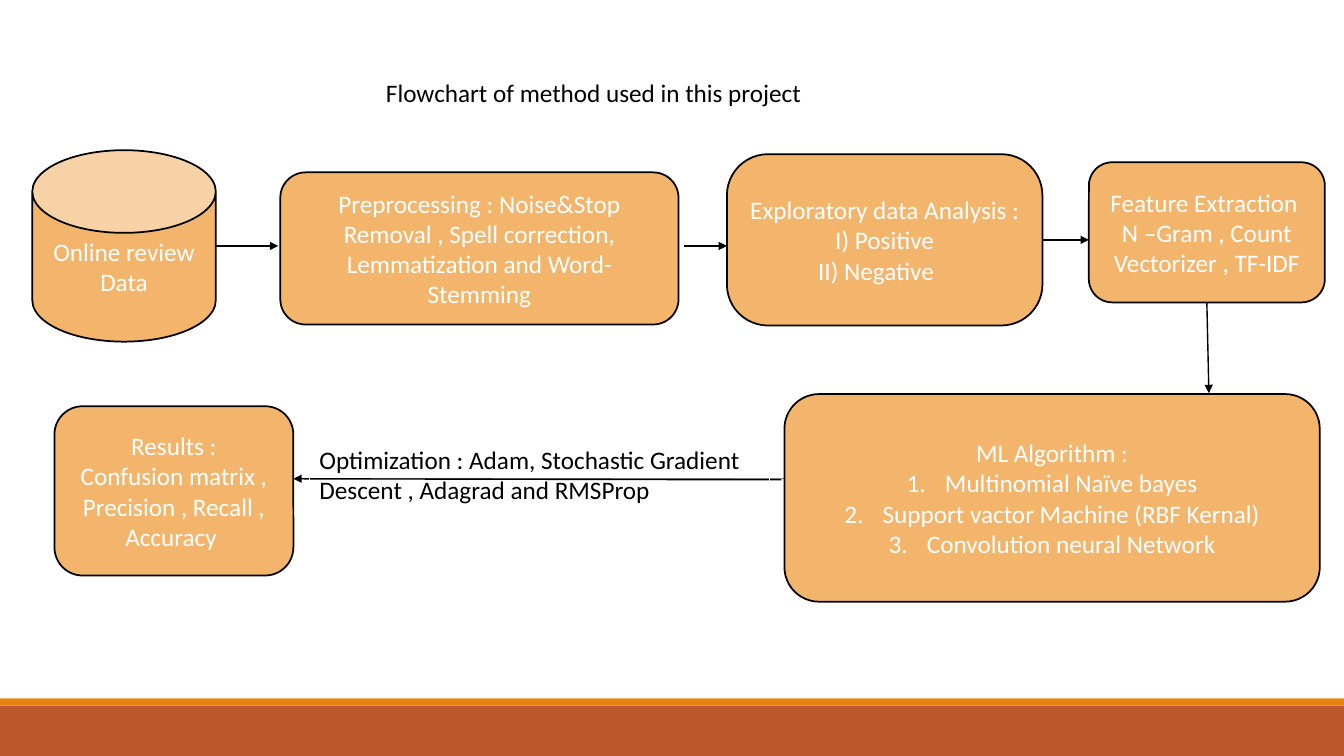
import pptx
import pptx.dml.color
import pptx.enum.shapes
import pptx.enum.text
import pptx.oxml.ns
import pptx.util
from lxml import etree
from pptx.util import Inches

SHAPES = pptx.enum.shapes.MSO_SHAPE
ALIGN = pptx.enum.text.PP_ALIGN
ANCHOR = pptx.enum.text.MSO_ANCHOR


def color(hex_string):
    return pptx.dml.color.RGBColor.from_string(hex_string)


def add_xml(parent, tag, **attributes):
    return etree.SubElement(parent, pptx.oxml.ns.qn(tag), attributes)


class FlowchartSlide:
    font_name = "Calibri"
    font_size = 18
    box_fill = "F3B56C"
    black = "000000"
    white = "FFFFFF"

    def __init__(self, presentation):
        self.slide = presentation.slides.add_slide(presentation.slide_layouts[6])
        self.shapes = self.slide.shapes

    def add_text(self, shape, lines, text_color, align):
        frame = shape.text_frame
        frame.word_wrap = True
        for index, line in enumerate(lines):
            paragraph = frame.paragraphs[0] if index == 0 else frame.add_paragraph()
            paragraph.alignment = align
            run = paragraph.add_run()
            run.text = line
            run.font.name = self.font_name
            run.font.size = pptx.util.Pt(self.font_size)
            run.font.color.rgb = color(text_color)
        return frame

    def band(self, top, height, fill):
        shape = self.shapes.add_shape(
            SHAPES.RECTANGLE, 0, Inches(top), Inches(13.33), Inches(height))
        shape.shadow.inherit = False
        shape.fill.solid()
        shape.fill.fore_color.rgb = color(fill)
        shape.line.fill.background()

    def box(self, left, top, width, height, lines,
            kind=SHAPES.ROUNDED_RECTANGLE, adjustment=None):
        shape = self.shapes.add_shape(
            kind, Inches(left), Inches(top), Inches(width), Inches(height))
        shape.shadow.inherit = False
        if adjustment is not None:
            shape.adjustments[0] = adjustment
        shape.fill.solid()
        shape.fill.fore_color.rgb = color(self.box_fill)
        shape.line.color.rgb = color(self.black)
        shape.line.width = pptx.util.Pt(1.25)
        frame = self.add_text(shape, lines, self.white, ALIGN.CENTER)
        frame.vertical_anchor = ANCHOR.MIDDLE
        return frame

    def number(self, paragraphs):
        for paragraph in paragraphs:
            properties = paragraph._p.get_or_add_pPr()
            properties.set("marL", str(Inches(0.38)))
            properties.set("indent", str(Inches(-0.38)))
            add_xml(properties, "a:buFont", typeface="+mj-lt")
            add_xml(properties, "a:buAutoNum", type="arabicPeriod")

    def label(self, left, top, width, height, text, outline=None):
        shape = self.shapes.add_textbox(
            Inches(left), Inches(top), Inches(width), Inches(height))
        if outline:
            shape.line.color.rgb = color(outline)
            shape.line.width = pptx.util.Pt(0.75)
        self.add_text(shape, [text], self.black, ALIGN.LEFT)

    def line(self, start, end, line_color=black, width=1, arrow=True):
        connector = self.shapes.add_connector(
            pptx.enum.shapes.MSO_CONNECTOR.STRAIGHT,
            Inches(start[0]), Inches(start[1]), Inches(end[0]), Inches(end[1]))
        connector.line.color.rgb = color(line_color)
        connector.line.width = pptx.util.Pt(width)
        if arrow:
            add_xml(connector.get_or_add_ln(), "a:tailEnd", type="triangle")
        add_xml(connector._element.spPr, "a:effectLst")


def main():
    presentation = pptx.Presentation()
    presentation.slide_width = Inches(13.33)
    presentation.slide_height = Inches(7.5)
    chart = FlowchartSlide(presentation)

    # Footer bands and thin rule
    chart.band(7, 0.5, "BD582C")
    chart.band(6.93, 0.07, "E48312")
    chart.line((1.32, 4.75), (12.12, 4.75), "808080", 0.5, arrow=False)

    # Upper row of steps
    chart.box(0.32, 1.49, 1.82, 1.9, ["Online review Data"], SHAPES.CAN, 0.451)
    chart.box(2.78, 1.71, 3.95, 1.51, [
        "Preprocessing : Noise&Stop Removal , Spell correction, "
        "Lemmatization and Word-Stemming"])
    analysis = chart.box(7.21, 1.53, 3.13, 1.7, [
        "Exploratory data Analysis :", "I) Positive", "II) Negative"],
        adjustment=0.24)
    analysis.paragraphs[2]._p.get_or_add_pPr().set("marR", str(Inches(0.17)))
    chart.box(10.8, 1.61, 2.34, 1.39, [
        "Feature Extraction ", "N –Gram , Count Vectorizer , TF-IDF"])

    # Results
    chart.box(0.54, 4.03, 2.37, 1.68, [
        "Results :", "Confusion matrix , Precision , Recall , Accuracy "])

    # Arrows between steps
    for start, end in [
        ((2.14, 2.44), (2.76, 2.44)),
        ((6.78, 2.44), (7.21, 2.44)),
        ((10.34, 2.38), (10.8, 2.38)),
        ((11.97, 3), (11.99, 3.9)),
        ((7.75, 4.76), (2.91, 4.75)),
    ]:
        chart.line(start, end)

    # Optimization note, algorithms and title
    chart.label(3.07, 4.36, 4.56, 0.71,
                "Optimization : Adam, Stochastic Gradient Descent , "
                "Adagrad and RMSProp", outline=chart.white)
    algorithms = chart.box(7.78, 3.91, 5.31, 2.06, [
        "ML Algorithm :", "Multinomial Naïve bayes",
        "Support vactor Machine (RBF Kernal)", "Convolution neural Network"])
    chart.number(algorithms.paragraphs[1:])
    chart.label(3.73, 0.72, 4.47, 0.4, "Flowchart of method used in this project")

    presentation.save("out.pptx")


if __name__ == "__main__":
    main()
